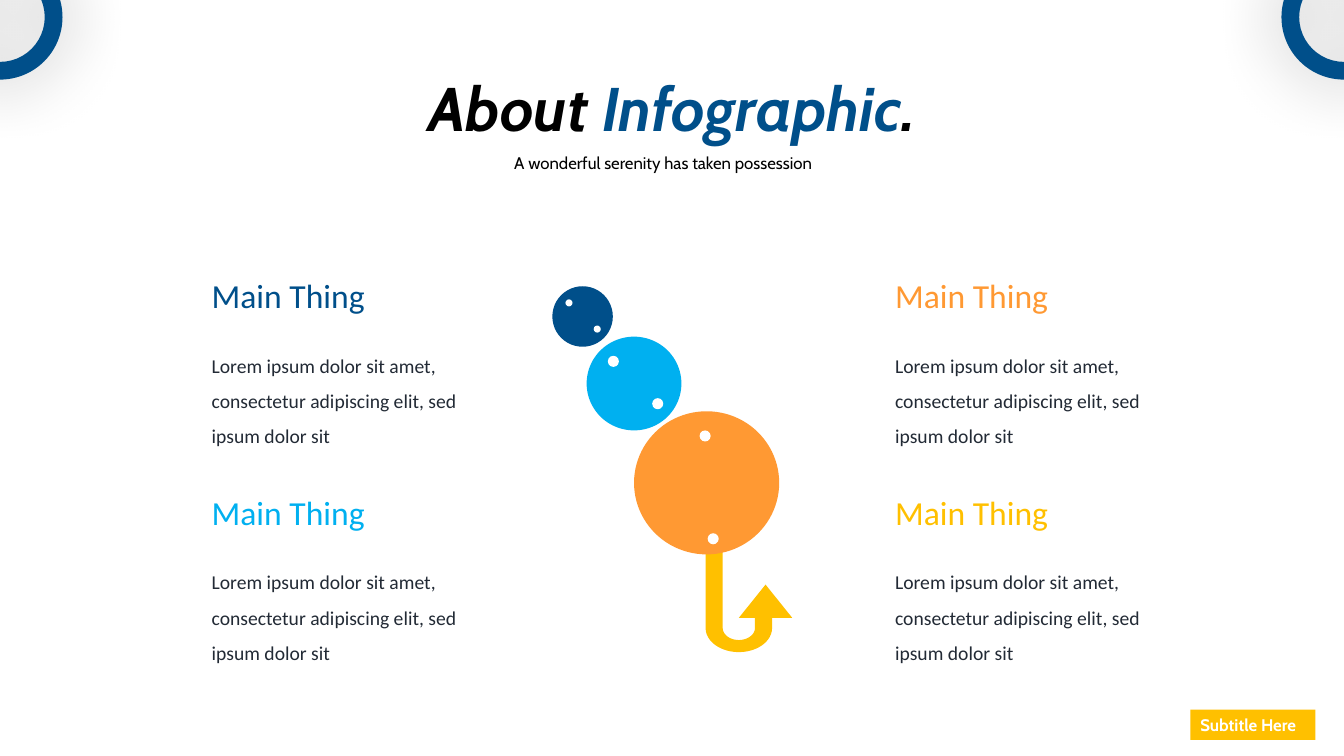
from math import cos, radians, sin

from lxml.etree import SubElement
from pptx import Presentation
from pptx.dml.color import RGBColor
from pptx.enum.shapes import MSO_SHAPE
from pptx.enum.text import MSO_ANCHOR, MSO_AUTO_SIZE, PP_ALIGN
from pptx.oxml.ns import qn
from pptx.util import Inches, Pt

CELL = Inches(0.1)
COLUMNS, ROWS = 133.33, 75
COLORS = {
    "navy": "004F8A",
    "sky": "00B0F0",
    "orange": "FF9933",
    "yellow": "FFC000",
    "white": "FFFFFF",
    "black": "000000",
    "body": "222A35",
}
LOREM = "Lorem ipsum dolor sit amet, consectetur adipiscing elit, sed ipsum dolor sit"
FLUSH = dict.fromkeys(("margin_left", "margin_top", "margin_right", "margin_bottom"), 0)
HEADING = {"name": "Calibri", "size": Pt(24)}
BODY = {"name": "Calibri", "size": Pt(14)}
TITLE = {"name": "Cabin", "size": Pt(44), "bold": True, "italic": True}
TAGLINE = {"name": "Cabin", "size": Pt(12)}
LABEL = {"name": "Cabin", "size": Pt(12), "bold": True}


def cells(*counts):
    return [round(count * CELL) for count in counts]


def rgb(color):
    return RGBColor.from_string(COLORS[color])


def apply(target, values):
    for attribute, value in values.items():
        setattr(target, attribute, value)


def paint(shape, color):
    shape.shadow.inherit = False
    shape.fill.solid()
    shape.fill.fore_color.rgb = rgb(color)
    shape.line.fill.background()
    return shape


def add_preset(shapes, preset, box, color):
    return paint(shapes.add_shape(preset, *cells(*box)), color)


def write(shape, runs, font, wrap=True, frame=None, paragraph=None):
    text = shape.text_frame
    apply(text, {
        "word_wrap": wrap,
        "auto_size": MSO_AUTO_SIZE.SHAPE_TO_FIT_TEXT,
        "vertical_anchor": MSO_ANCHOR.TOP,
        **(frame or {}),
    })
    line = text.paragraphs[0]
    apply(line, {"alignment": PP_ALIGN.LEFT, **(paragraph or {})})
    for words, color in runs:
        run = line.add_run()
        run.text = words
        apply(run.font, font)
        run.font.color.rgb = rgb(color)


def add_text(shapes, box, *content, **options):
    write(shapes.add_textbox(*cells(*box)), *content, **options)


def add_title(slide):
    title = slide.shapes.title
    apply(title, dict(zip(("left", "top", "width", "height"), cells(23.7, 6.4, 86, 8.4))))
    write(title, [("About ", "black"), ("Infographic", "navy"), (".", "black")], TITLE,
          paragraph={"alignment": PP_ALIGN.CENTER})


def add_topic(shapes, left, top, color):
    add_text(shapes, (left, top, 16.8, 4), [("Main Thing", color)], HEADING,
             wrap=False, frame=FLUSH)
    add_text(shapes, (left, top + 6.6, 26.4, 10.2), [(LOREM, "body")], BODY,
             frame=FLUSH, paragraph={"line_spacing": 1.5})


def arc(center_x, center_y, radius_x, radius_y, start, end):
    angles = [radians(start + (end - start) * step / 24) for step in range(25)]
    return [(center_x + radius_x * cos(a), center_y + radius_y * sin(a)) for a in angles]


def add_hook(shapes):
    barb = [(74.9, 59.9), (75.4, 59.3), (76.3, 59.5), (77.4, 60.5), (76.6, 61.1)]
    outline = (arc(70.85, 51, 0.85, 0.6, 180, 360) + arc(73.3, 62.3, 1.6, 1.2, 180, 0)
               + barb + arc(73.3, 62.3, 3.3, 2.4, 0, 180))
    points = [cells(*point) for point in outline]
    builder = shapes.build_freeform(*points[0])
    builder.add_line_segments(points[1:], close=True)
    paint(builder.convert_to_shape(), "yellow")


def add_chain(slide):
    shapes = slide.shapes.add_group_shape().shapes
    add_hook(shapes)
    add_preset(shapes, MSO_SHAPE.ISOSCELES_TRIANGLE, (73.3, 58, 5.3, 3.3), "yellow")
    links = [
        ((58.2, 33.4, 9.4, 9.3), "sky", 1.1, [(60.3, 35.3), (64.7, 39.5)]),
        ((62.9, 40.8, 14.4, 14.2), "orange", 1.1, [(69.4, 42.7), (70.2, 52.9)]),
        ((54.8, 28.4, 6, 6), "navy", 0.7, [(56.1, 29.7), (58.9, 32.3)]),
    ]
    for box, color, dot, corners in links:
        add_preset(shapes, MSO_SHAPE.OVAL, box, color)
        for corner in corners:
            add_preset(shapes, MSO_SHAPE.OVAL, (*corner, dot, dot), "white")


def add_ring(shapes, center):
    size = 12.4
    ring = add_preset(shapes, MSO_SHAPE.DONUT, (center - size / 2, -4.5, size, size), "navy")
    ring.adjustments[0] = 0.142
    effects = ring._element.spPr.find(qn("a:effectLst"))
    glow = SubElement(effects, qn("a:outerShdw"), blurRad=str(Pt(49)), dist="0", dir="0",
                      algn="ctr", rotWithShape="0")
    tint = SubElement(glow, qn("a:srgbClr"), val=COLORS["black"])
    SubElement(tint, qn("a:alpha"), val="33000")


def main():
    deck = Presentation()
    deck.slide_width, deck.slide_height = cells(COLUMNS, ROWS)
    slide = deck.slides.add_slide(deck.slide_layouts[5])
    shapes = slide.shapes

    add_chain(slide)
    topics = (("navy", "sky"), ("orange", "yellow"))
    for left, column in zip((21, 88.8), topics):
        for row, color in enumerate(column):
            add_topic(shapes, left, 27.3 + 21.5 * row, color)

    add_title(slide)
    add_text(shapes, (43.7, 13.7, 44.2, 3.7),
             [("A wonderful serenity has taken possession", "black")], TAGLINE,
             paragraph={"alignment": PP_ALIGN.CENTER, "line_spacing": 1.5})
    label = add_preset(shapes, MSO_SHAPE.RECTANGLE, (118.1, 70.4, 12.4, 3), "yellow")
    write(label, [("Subtitle Here", "white")], LABEL, wrap=False)
    for center in (0, COLUMNS):
        add_ring(shapes, center)

    deck.save("out.pptx")


if __name__ == "__main__":
    main()
